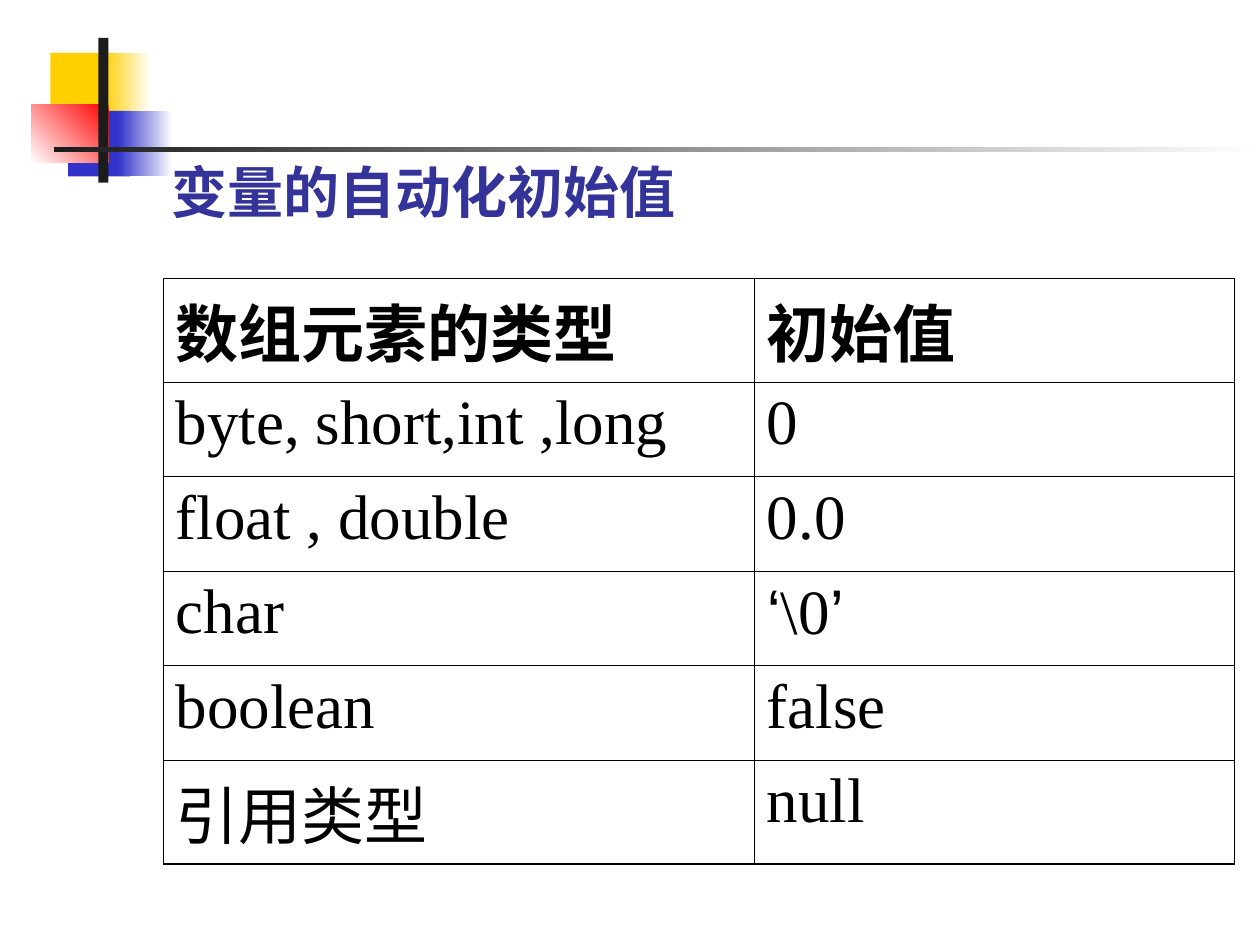
"""Build the slide on default initial values of variables."""
from dataclasses import dataclass

from pptx import Presentation
from pptx import util as u
from pptx.dml import color
from pptx.enum import shapes, text
from pptx.oxml import parse_xml
from pptx.oxml import ns

SLIDE_W, SLIDE_H = u.Inches(10), u.Inches(7.5)
BLACK, WHITE = "000000", "FFFFFF"
YELLOW, BLUE, RED, INK = "FFCF01", "3333CC", "FF0000", "1C1C1C"
SERIF, QUOTE = "Times New Roman", "Arial"
INNER, EDGE_SIDE, EDGE_END = 0.45, 0.34, 0.96


@dataclass(frozen=True)
class Area:
    """A rectangle in percent of the slide's width and height."""
    left: float
    top: float
    width: float
    height: float

    def emu(self) -> tuple:
        """Return left, top, width and height as slide lengths."""
        return (u.Emu(round(SLIDE_W * self.left / 100)), u.Emu(round(SLIDE_H * self.top / 100)),
                u.Emu(round(SLIDE_W * self.width / 100)), u.Emu(round(SLIDE_H * self.height / 100)))


@dataclass(frozen=True)
class Block:
    """A decorative rectangle, plain or fading between two colours."""
    area: Area
    colours: tuple
    angle: float = 180


ORNAMENT = (
    Block(Area(4, 5.6, 5.1, 6.93), (YELLOW,)),
    Block(Area(8.2, 5.6, 3.8, 6.93), (WHITE, YELLOW)),
    Block(Area(5.4, 11.73, 4.9, 6.93), (BLUE,)),
    Block(Area(9.4, 11.73, 4.3, 6.93), (WHITE, BLUE)),
    Block(Area(2.5, 11.07, 6.1, 6.13), (RED, WHITE), 225),
    Block(Area(7.8, 4, 0.8, 15.33), (INK,)),
    Block(Area(4.3, 15.6, 95.7, 0.53), (WHITE, INK)),
)
TITLE_AREA = Area(12.6, 3.07, 85.2, 21.33)
TABLE_AREA = Area(12.95, 29.47, 85, 60)
COLUMN_SHARES = (0.552, 0.448)
INITIAL_VALUES = (
    ("数组元素的类型", "初始值"),
    ("byte, short,int ,long", "0"),
    ("float , double", "0.0"),
    ("char", "‘\\0’"),
    ("boolean", "false"),
    ("引用类型", "null"),
)


def rgb(value: str) -> color.RGBColor:
    """Turn a hex string into a colour."""
    return color.RGBColor.from_string(value)


def apply(target, values: dict) -> None:
    """Set each named attribute on the target."""
    for name, value in values.items():
        setattr(target, name, value)


def style(font, face: str, size: float, colour: str, bold: bool) -> None:
    """Give a font its face, size, weight and colour."""
    apply(font, {"name": face, "size": u.Pt(size), "bold": bold})
    font.color.rgb = rgb(colour)


def draw_block(slide, block: Block) -> None:
    """Draw one rectangle of the corner ornament."""
    rect = slide.shapes.add_shape(shapes.MSO_SHAPE.RECTANGLE, *block.area.emu())
    rect.shadow.inherit = False
    rect.line.fill.background()
    if len(block.colours) == 1:
        rect.fill.solid()
        rect.fill.fore_color.rgb = rgb(block.colours[0])
        return
    rect.fill.gradient()
    rect.fill.gradient_angle = block.angle
    for stop, colour in zip(rect.fill.gradient_stops, block.colours):
        stop.color.rgb = rgb(colour)


def write_title(slide, wording: str) -> None:
    """Place and format the title placeholder."""
    title = slide.shapes.title
    apply(title, dict(zip(("left", "top", "width", "height"), TITLE_AREA.emu())))
    apply(title.text_frame, {"text": wording, "word_wrap": True,
                             "auto_size": text.MSO_AUTO_SIZE.NONE,
                             "vertical_anchor": text.MSO_ANCHOR.BOTTOM})
    heading = title.text_frame.paragraphs[0]
    heading.alignment = text.PP_ALIGN.LEFT
    style(heading.runs[0].font, "Roboto", 32, "333399", True)


def draw_borders(cell, widths: dict) -> None:
    """Add black borders of the given widths in points to a cell."""
    properties = cell._tc.get_or_add_tcPr()
    for side, width in widths.items():
        properties.append(parse_xml(
            f'<a:ln{side} {ns.nsdecls("a")} w="{u.Pt(width)}"><a:solidFill>'
            f'<a:srgbClr val="{BLACK}"/></a:solidFill></a:ln{side}>'))


def write_cell(cell, wording: str, bold: bool) -> None:
    """Write a cell with a hanging indent, setting quotes in their own face."""
    paragraph = cell.text_frame.paragraphs[0]
    hang = u.Inches(0.38)
    apply(paragraph, {"alignment": text.PP_ALIGN.LEFT})
    for name, value in {"marL": hang, "indent": -hang}.items():
        paragraph._p.get_or_add_pPr().set(name, str(value))
    quoted = wording.startswith("‘")
    for part in (wording[0], wording[1:-1], wording[-1]) if quoted else (wording,):
        run = paragraph.add_run()
        run.text = part
        style(run.font, QUOTE if part in "‘’" else SERIF, 36, BLACK, bold)


def draw_table(slide, rows: tuple) -> None:
    """Draw the table of types and initial values."""
    last_row, last_column = len(rows) - 1, len(COLUMN_SHARES) - 1
    table = slide.shapes.add_table(len(rows), len(COLUMN_SHARES), *TABLE_AREA.emu()).table
    apply(table, {"first_row": False, "horz_banding": False})
    for column, share in zip(table.columns, COLUMN_SHARES):
        column.width = round(TABLE_AREA.emu()[2] * share)
    for r, row in enumerate(rows):
        for c, wording in enumerate(row):
            cell = table.cell(r, c)
            write_cell(cell, wording, bold=r == 0)
            draw_borders(cell, {"L": EDGE_SIDE if c == 0 else INNER,
                                "R": EDGE_SIDE if c == last_column else INNER,
                                "T": EDGE_END if r == 0 else INNER,
                                "B": EDGE_END if r == last_row else INNER})
            cell.fill.background()


def main() -> None:
    """Assemble and save the presentation."""
    deck = Presentation()
    apply(deck, {"slide_width": SLIDE_W, "slide_height": SLIDE_H})
    slide = deck.slides.add_slide(deck.slide_layouts.get_by_name("Title Only"))
    for block in ORNAMENT:
        draw_block(slide, block)
    write_title(slide, "变量的自动化初始值")
    draw_table(slide, INITIAL_VALUES)
    deck.save("out.pptx")


if __name__ == "__main__":
    main()
